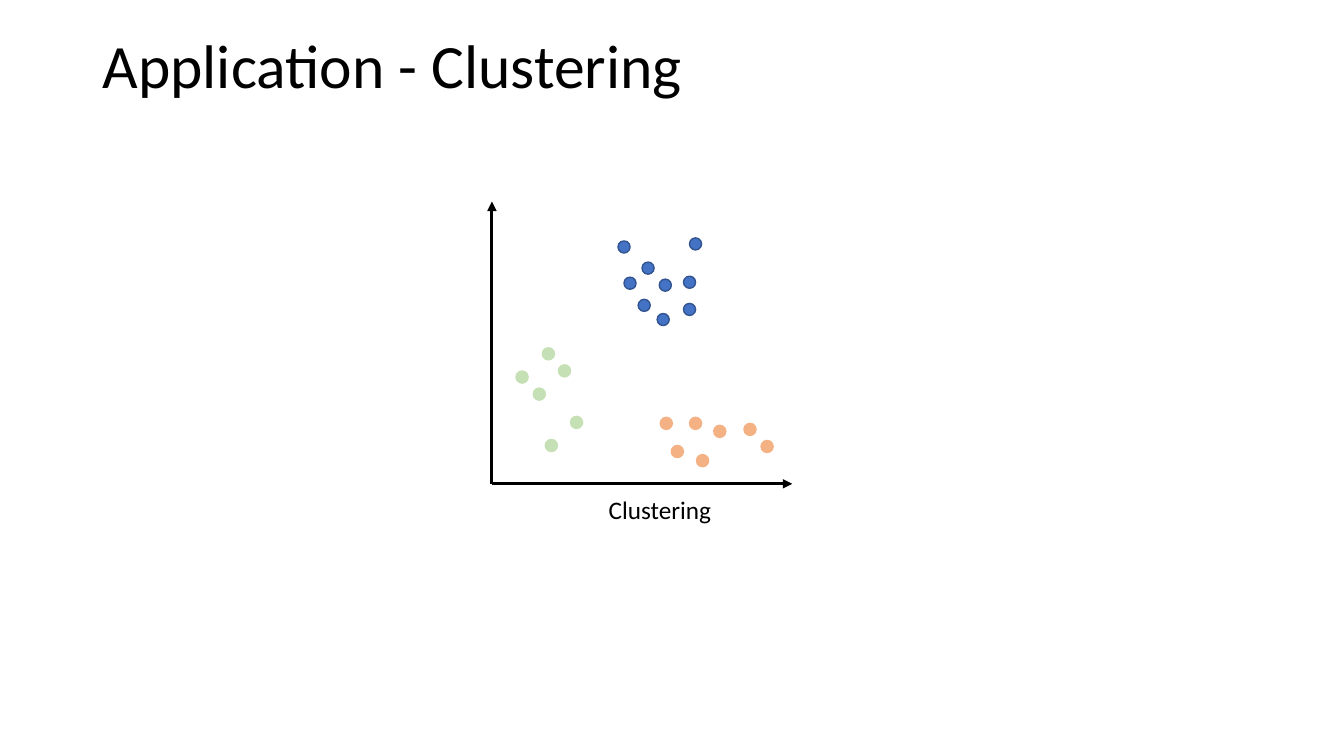
import pptx
import pptx.util
import pptx.dml.color
import pptx.enum.shapes
import pptx.enum.text
import pptx.oxml.ns
from lxml import etree

Pt = pptx.util.Pt
MSO_ANCHOR = pptx.enum.text.MSO_ANCHOR


def rgb(hex_string):
    return pptx.dml.color.RGBColor.from_string(hex_string)


prs = pptx.Presentation()
prs.slide_width, prs.slide_height = Pt(960), Pt(540)
slide = prs.slides.add_slide(prs.slide_layouts[6])

# Title and caption
texts = [
    ("Application - Clustering", (66.2, -3.6, 828, 104.4), 44,
     {"word_wrap": True, "vertical_anchor": MSO_ANCHOR.MIDDLE}, 0.9),
    ("Clustering", (427.7, 349.9, 88.6, 28.8), 18,
     {"word_wrap": False, "vertical_anchor": MSO_ANCHOR.TOP}, 1),
]
for wording, place, size, frame_format, line_spacing in texts:
    frame = slide.shapes.add_textbox(*map(Pt, place)).text_frame
    for attribute, value in frame_format.items():
        setattr(frame, attribute, value)
    paragraph = frame.paragraphs[0]
    paragraph.line_spacing = line_spacing
    run = paragraph.add_run()
    run.text = wording
    for attribute, value in {"name": "Calibri", "size": Pt(size)}.items():
        setattr(run.font, attribute, value)
    run.font.color.rgb = rgb("000000")

# Axes, each drawn from its arrow tip to the origin
origin = (351.4, 345.6)
axis_tips = [(351.4, 144), (565.9, 345.6)]
for tip in axis_tips:
    axis = slide.shapes.add_connector(
        pptx.enum.shapes.MSO_CONNECTOR.STRAIGHT, *map(Pt, tip + origin))
    axis.line.width = Pt(2.25)
    axis.line.color.rgb = rgb("000000")
    arrowhead = etree.SubElement(axis.line._get_or_add_ln(), pptx.oxml.ns.qn("a:headEnd"))
    arrowhead.set("type", "triangle")
    etree.SubElement(axis._element.spPr, pptx.oxml.ns.qn("a:effectLst"))

# Clusters: fill, outline, top left corners of the dots
DOT = 8.64
clusters = [
    ("C5E0B4", "C5E0B4", [
        (387.4, 248.4), (398.9, 260.6), (407.5, 297.4),
        (368.6, 265), (380.9, 277.2), (389.5, 313.9)]),
    ("4472C4", "325491", [
        (455.8, 213.8), (469.4, 223.9), (488.2, 197.3),
        (441.4, 172.1), (445.7, 198), (492.5, 169.9),
        (458.6, 187.2), (470.9, 199.4), (488.2, 216.7)]),
    ("F4B183", "F4B183", [
        (509.8, 303.8), (492.5, 298.1), (497.5, 324.7), (471.6, 298.1),
        (479.5, 318.2), (531.4, 302.4), (543.6, 314.6)]),
]
for fill, outline, corners in clusters:
    for left, top in corners:
        dot = slide.shapes.add_shape(
            pptx.enum.shapes.MSO_SHAPE.OVAL, Pt(left), Pt(top), Pt(DOT), Pt(DOT))
        dot.shadow.inherit = False
        dot.fill.solid()
        dot.fill.fore_color.rgb = rgb(fill)
        dot.line.color.rgb = rgb(outline)
        dot.line.width = Pt(1)

prs.save("out.pptx")
